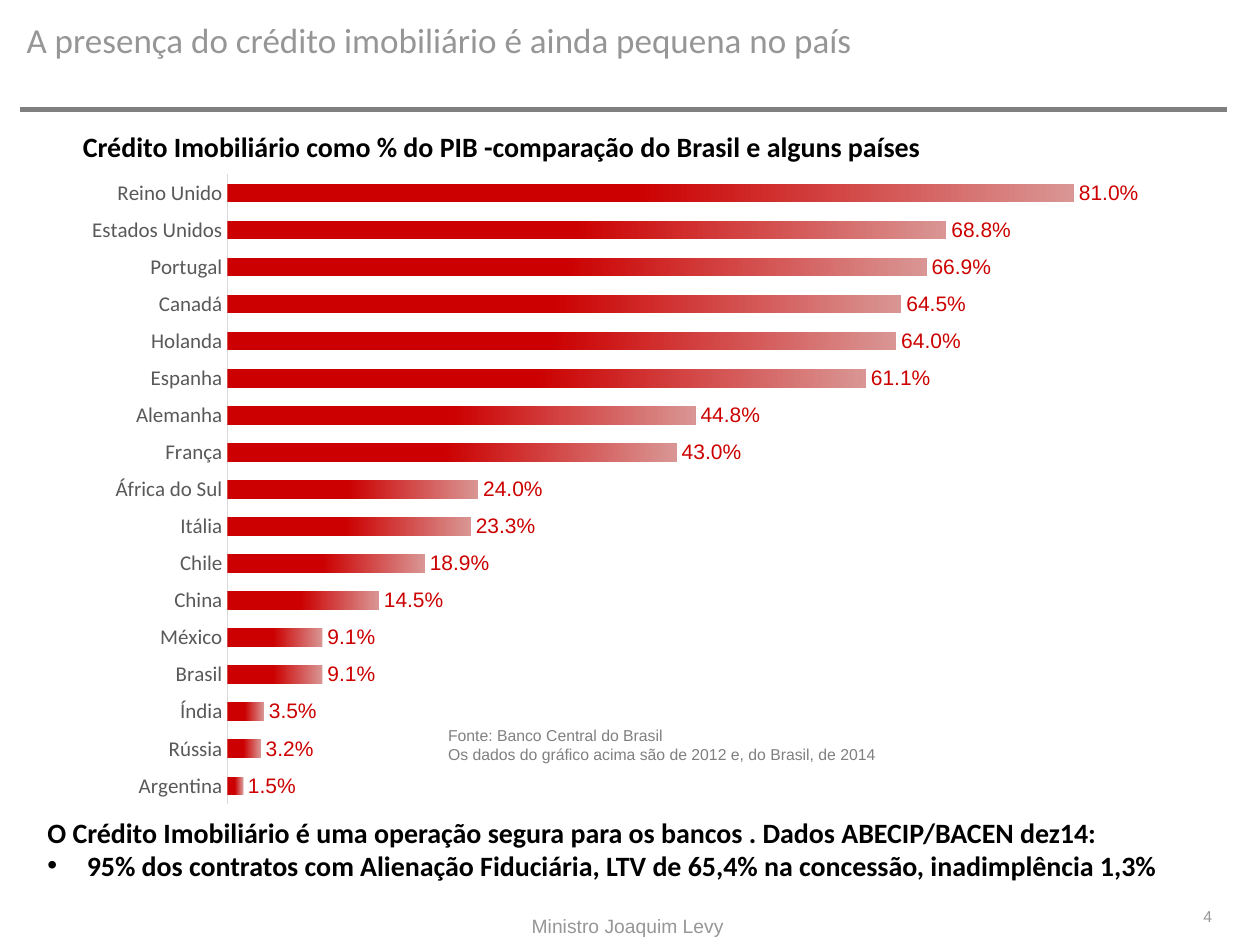
from lxml import etree
from pptx import Presentation
from pptx.chart.data import CategoryChartData
from pptx.dml.color import RGBColor
from pptx.enum.chart import XL_CHART_TYPE, XL_LABEL_POSITION, XL_TICK_MARK
from pptx.enum.shapes import MSO_CONNECTOR
from pptx.enum.text import MSO_ANCHOR, PP_ALIGN
from pptx.oxml import parse_xml
from pptx.oxml.ns import nsdecls, qn
from pptx.util import Pt

LEFT, CENTER, RIGHT = PP_ALIGN.LEFT, PP_ALIGN.CENTER, PP_ALIGN.RIGHT
TOP, MIDDLE = MSO_ANCHOR.TOP, MSO_ANCHOR.MIDDLE

THEME = {
    "heading_font": "Calibri", "note_font": "Arial",
    "title": RGBColor(0x96, 0x96, 0x96), "rule": RGBColor(0x80, 0x80, 0x80),
    "text": RGBColor(0, 0, 0), "category": RGBColor(0x59, 0x59, 0x59),
    "axis": RGBColor(0xD9, 0xD9, 0xD9),
    "bar": RGBColor(0xCC, 0, 0), "bar_end": RGBColor(0xD9, 0x96, 0x94),
    "title_size": 20, "body_size": 16, "chart_size": 12,
    "footer_size": 11, "note_size": 9,
}


def style_font(font, name, size, color, bold=False):
    font.name, font.size, font.bold = name, Pt(size), bold
    font.color.rgb = color


def fill_box(box, lines, name, size, color, bold=False, align=LEFT,
             anchor=TOP, inset_y=3.6):
    frame = box.text_frame
    frame.word_wrap = True
    frame.vertical_anchor = anchor
    frame.margin_left = frame.margin_right = Pt(7.2)
    frame.margin_top = frame.margin_bottom = Pt(inset_y)
    for index, line in enumerate(lines):
        para = frame.paragraphs[0] if index == 0 else frame.add_paragraph()
        para.alignment = align
        span = para.add_run()
        span.text = line
        style_font(span.font, name, size, color, bold)


deck = Presentation()
deck.slide_width, deck.slide_height = Pt(720), Pt(540)
page = deck.slides.add_slide(deck.slide_layouts[5])

# Title
title = page.shapes.title
title.left, title.top, title.width, title.height = Pt(8), Pt(6.5), Pt(568), Pt(32.5)
fill_box(title, ["A presença do crédito imobiliário é ainda pequena no país"],
         THEME["heading_font"], THEME["title_size"], THEME["title"], inset_y=4.3)

# Rule under the title
rule = page.shapes.add_connector(MSO_CONNECTOR.STRAIGHT, Pt(11.5), Pt(62.6), Pt(701.3), Pt(62.6))
rule.line.color.rgb = THEME["rule"]
rule.line.width = Pt(3.2)
etree.SubElement(rule.element.spPr, qn("a:effectLst"))

# Share of GDP by country
shares = {
    "Reino Unido": 0.81, "Estados Unidos": 0.688, "Portugal": 0.669,
    "Canadá": 0.645, "Holanda": 0.64, "Espanha": 0.611, "Alemanha": 0.448,
    "França": 0.43, "África do Sul": 0.24, "Itália": 0.233, "Chile": 0.189,
    "China": 0.145, "México": 0.091, "Brasil": 0.091, "Índia": 0.035,
    "Rússia": 0.032, "Argentina": 0.015,
}
data = CategoryChartData(number_format="0.0%")
data.categories = list(shares)
data.add_series("Crédito imobiliário / PIB", list(shares.values()))
chart = page.shapes.add_chart(XL_CHART_TYPE.BAR_CLUSTERED, Pt(40.3), Pt(92.2),
                              Pt(640), Pt(375), data).chart
chart.has_legend = chart.has_title = False
style_font(chart.font, THEME["heading_font"], THEME["chart_size"], THEME["text"])

countries = chart.category_axis
countries.reverse_order = True
countries.major_tick_mark = XL_TICK_MARK.NONE
countries.format.line.color.rgb = THEME["axis"]
countries.format.line.width = Pt(0.75)
style_font(countries.tick_labels.font, THEME["heading_font"], THEME["chart_size"], THEME["category"])

values = chart.value_axis
values.visible = values.has_major_gridlines = False
values.minimum_scale, values.maximum_scale = 0, 0.9

# Bars with a gradient and value labels
plot = chart.plots[0]
plot.gap_width = 100
plot.vary_by_categories = False
fill = plot.series[0].format.fill
fill.gradient()
fill.gradient_angle = 0
for stop, position, color in zip(fill.gradient_stops, (0.48, 1),
                                 (THEME["bar"], THEME["bar_end"])):
    stop.position = position
    stop.color.rgb = color
plot.has_data_labels = True
labels = plot.data_labels
labels.show_value = True
labels.position = XL_LABEL_POSITION.OUTSIDE_END
labels.number_format, labels.number_format_is_linked = "0.0%", False
style_font(labels.font, THEME["note_font"], THEME["chart_size"], THEME["bar"])

# Fixed plot area
plot_area = plot.series[0].format.fill and chart.element.find(".//" + qn("c:plotArea"))
for old_layout in plot_area.findall(qn("c:layout")):
    plot_area.remove(old_layout)
edges = "".join(f'<c:{tag} val="{value}"/>' for tag, value in (
    ("layoutTarget", "inner"), ("xMode", "edge"), ("yMode", "edge"),
    ("x", 0.14), ("y", 0.02), ("w", 0.84), ("h", 0.96)))
plot_area.insert(0, parse_xml(
    f'<c:layout {nsdecls("c")}><c:manualLayout>{edges}</c:manualLayout></c:layout>'))

# Chart heading
heading = page.shapes.add_textbox(Pt(40.3), Pt(73), Pt(640), Pt(21.6))
fill_box(heading, ["Crédito Imobiliário como % do PIB -comparação do Brasil e alguns países"],
         THEME["heading_font"], THEME["body_size"], THEME["text"], bold=True, anchor=MIDDLE)

# Source note
note = page.shapes.add_textbox(Pt(249), Pt(411), Pt(460), Pt(29))
fill_box(note, ["Fonte: Banco Central do Brasil",
                "Os dados do gráfico acima são de 2012 e, do Brasil, de 2014"],
         THEME["note_font"], THEME["note_size"], THEME["rule"])

# Conclusion, second line bulleted
conclusion = page.shapes.add_textbox(Pt(20), Pt(462.2), Pt(698), Pt(63.4))
fill_box(conclusion, [
    "O Crédito Imobiliário é uma operação segura para os bancos . Dados ABECIP/BACEN dez14:",
    "95% dos contratos com Alienação Fiduciária, LTV de 65,4% na concessão, inadimplência 1,3%"],
    THEME["heading_font"], THEME["body_size"], THEME["text"], bold=True)
bullet_format = conclusion.text_frame.paragraphs[1]._p.get_or_add_pPr()
bullet_format.set("marL", str(Pt(22.5)))
bullet_format.set("indent", str(-Pt(22.5)))
etree.SubElement(bullet_format, qn("a:buFont")).set("typeface", THEME["note_font"])
etree.SubElement(bullet_format, qn("a:buChar")).set("char", "•")

# Footer and page number
footer = page.shapes.add_textbox(Pt(282), Pt(518.4), Pt(153.5), Pt(21.6))
fill_box(footer, ["Ministro Joaquim Levy"], THEME["note_font"],
         THEME["footer_size"], THEME["title"], align=CENTER, inset_y=4.3)
number = page.shapes.add_textbox(Pt(575.3), Pt(514), Pt(124.5), Pt(18.7))
fill_box(number, ["4"], THEME["note_font"], THEME["note_size"],
         THEME["title"], align=RIGHT, inset_y=4.3)

deck.save("out.pptx")
